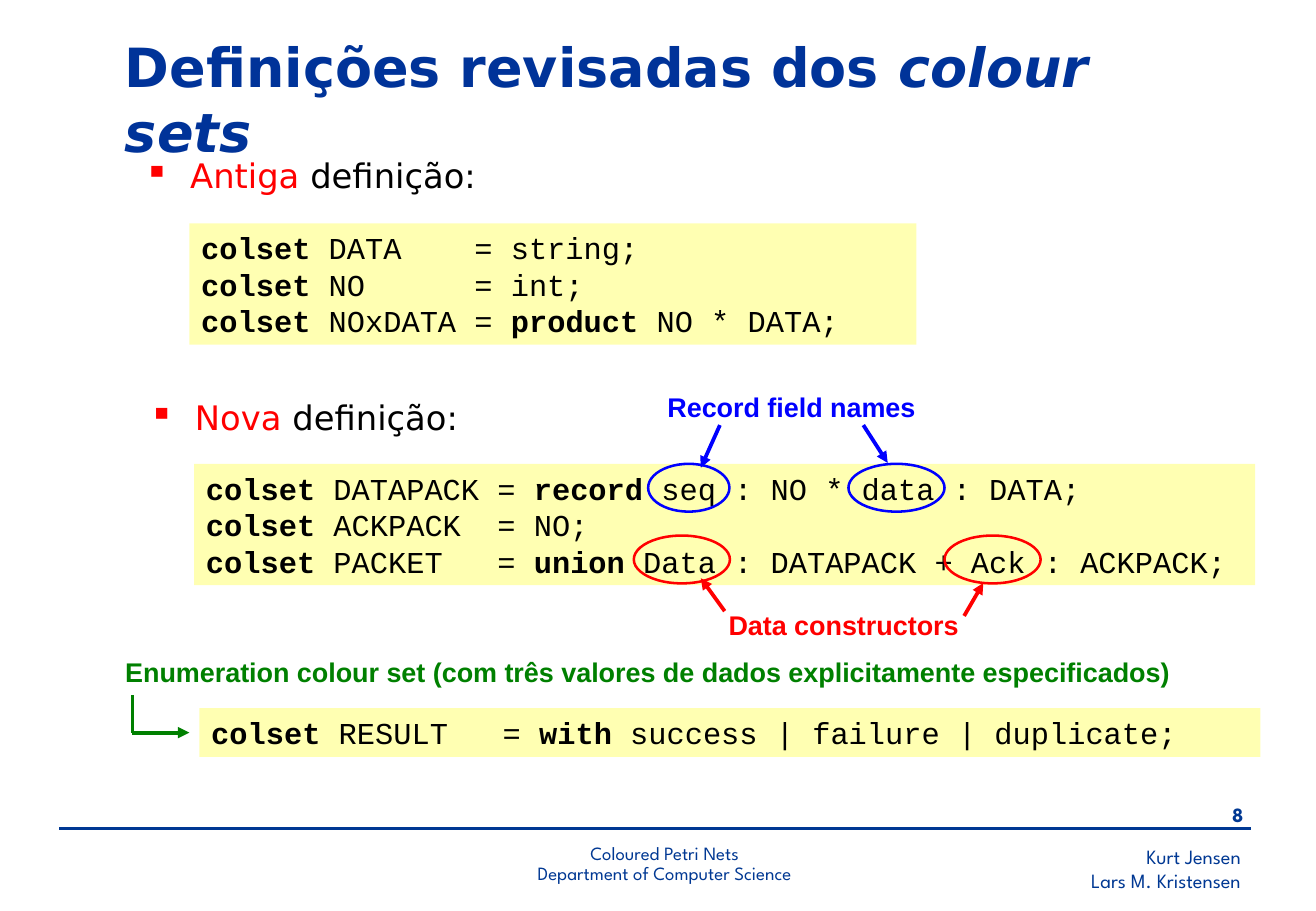
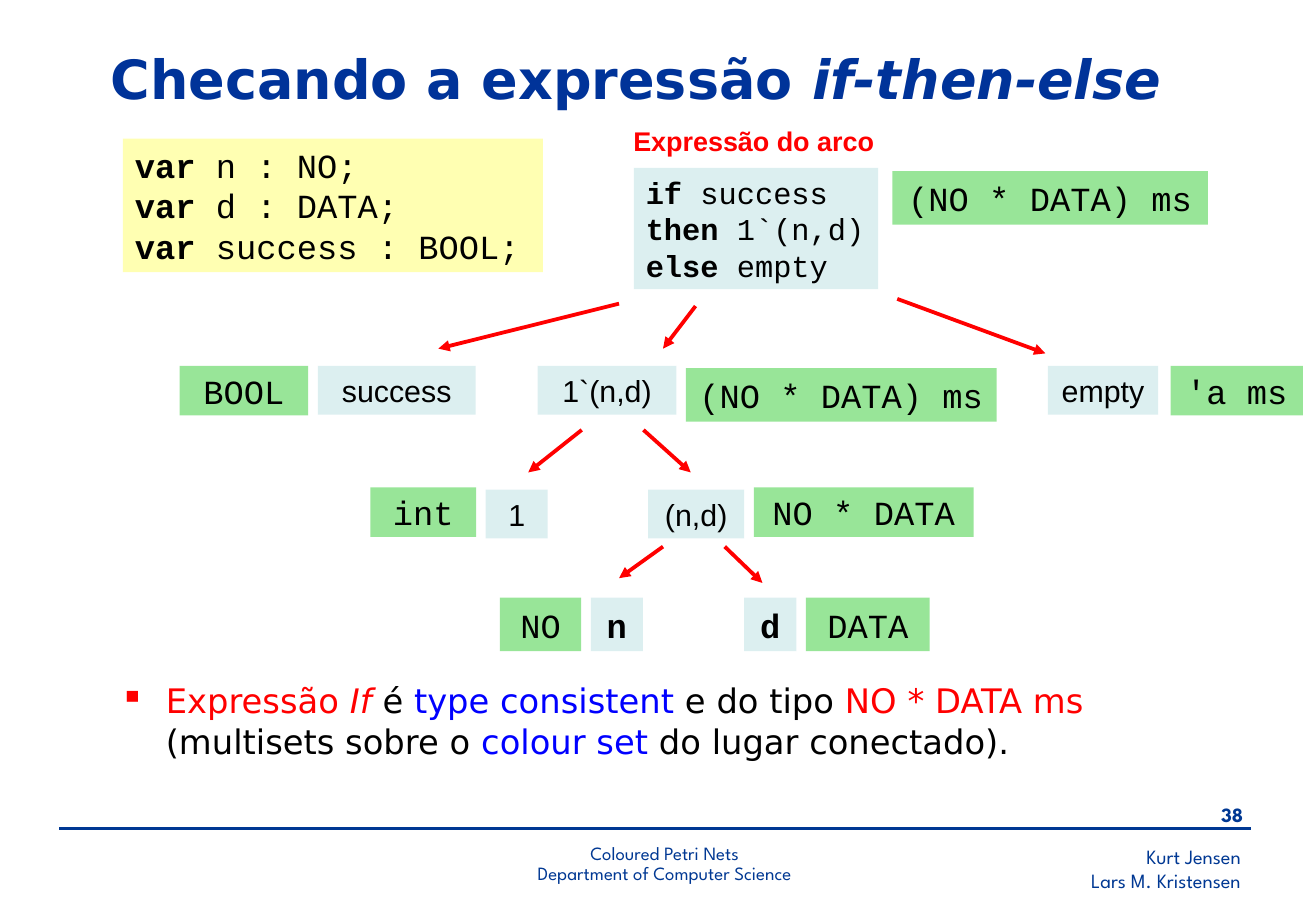
from lxml.etree import SubElement
from pptx import Presentation
from pptx.dml.color import RGBColor
from pptx.enum.shapes import MSO_CONNECTOR, MSO_SHAPE
from pptx.enum.text import MSO_ANCHOR, MSO_AUTO_SIZE, PP_ALIGN
from pptx.oxml.ns import qn
from pptx.util import Cm, Pt

COLORS = {
    "title": "003399", "footer": "003893", "black": "000000", "red": "FF0000",
    "blue": "0000FF", "green": "008000",
    "code": "FFFF66", "expr": "BBE0E3", "type": "33CC33",
}
HEAD, MONO, LABEL, FOOT = "DejaVu Sans", "Courier New", "Arial", "League Spartan"
LEFT, CENTER, RIGHT = PP_ALIGN.LEFT, PP_ALIGN.CENTER, PP_ALIGN.RIGHT

CELLS = {
    "expr": dict(fill="expr", h=1.02, font=LABEL, size=18),
    "type": dict(fill="type", h=1.04, font=MONO, size=20),
    "wide": dict(fill="type", h=1.12, font=MONO, size=20),
    "var": dict(fill="expr", h=1.12, font=MONO, size=20, bold=True),
}


def rgb(name):
    return RGBColor.from_string(COLORS[name])


def box(x, y, w, h):
    return Cm(x), Cm(y), Cm(w), Cm(h)


def add_run(p, text, font=HEAD, size=20, color="black", bold=False, italic=False):
    r = p.add_run()
    r.text = text
    r.font.name, r.font.size = font, Pt(size)
    r.font.bold, r.font.italic = bold, italic
    r.font.color.rgb = rgb(color)


def add_lines(tf, lines, align=LEFT, spacing=None, **fmt):
    tf.word_wrap = True
    for i, line in enumerate(lines):
        p = tf.paragraphs[0] if i == 0 else tf.add_paragraph()
        p.alignment = align
        if spacing:
            p.line_spacing = spacing
        add_run(p, line, **fmt)


def add_text(s, x, y, w, h, *lines, **fmt):
    tf = s.shapes.add_textbox(*box(x, y, w, h)).text_frame
    add_lines(tf, lines, **fmt)


def add_panel(s, x, y, w, h, fill):
    sp = s.shapes.add_shape(MSO_SHAPE.RECTANGLE, *box(x, y, w, h))
    sp.shadow.inherit = False
    sp.fill.solid()
    sp.fill.fore_color.rgb = rgb(fill)
    clr = sp._element.spPr.find(".//" + qn("a:srgbClr"))
    SubElement(clr, qn("a:alpha")).set("val", "50000")
    sp.line.fill.background()
    sp.text_frame.word_wrap = True
    return sp.text_frame


def add_code(s, x, y, w, h, *lines, fill="code", size=18):
    tf = add_panel(s, x, y, w, h, fill)
    for i, line in enumerate(lines):
        p = tf.paragraphs[0] if i == 0 else tf.add_paragraph()
        p.alignment = LEFT
        for j, part in enumerate(line.split("**")):
            if part:
                add_run(p, part, font=MONO, size=size, bold=j % 2 == 1)


def add_oval(s, x, y, w, h, color):
    sp = s.shapes.add_shape(MSO_SHAPE.OVAL, *box(x, y, w, h))
    sp.shadow.inherit = False
    sp.fill.background()
    sp.line.color.rgb = rgb(color)
    sp.line.width = Pt(1.5)


def add_line(s, x1, y1, x2, y2, color, width=2.25, arrow=True):
    c = s.shapes.add_connector(MSO_CONNECTOR.STRAIGHT, *box(x1, y1, x2, y2))
    c.line.color.rgb = rgb(color)
    c.line.width = Pt(width)
    spPr = c._element.spPr
    if arrow:
        SubElement(spPr.find(qn("a:ln")), qn("a:tailEnd")).set("type", "triangle")
    SubElement(spPr, qn("a:effectLst"))


def add_bullet(s, x, y, w, h, *rows):
    tf = s.shapes.add_textbox(*box(x, y, w, h)).text_frame
    tf.word_wrap = True
    p = tf.paragraphs[0]
    pPr = p._p.get_or_add_pPr()
    pPr.set("marL", str(Cm(0.96)))
    pPr.set("indent", str(-Cm(0.96)))
    clr = SubElement(pPr, qn("a:buClr"))
    SubElement(clr, qn("a:srgbClr")).set("val", COLORS["red"])
    SubElement(pPr, qn("a:buChar")).set("char", "▪")
    for i, row in enumerate(rows):
        if i:
            p.add_line_break()
        for text, color, *italic in row:
            add_run(p, text, color=color, italic=bool(italic))


def add_footer(s, number):
    fmt = dict(font=FOOT, color="footer")
    add_text(s, 17.65, 17.53, 8.56, 1.27, "Kurt Jensen", "Lars M. Kristensen",
             align=RIGHT, size=12, **fmt)
    add_text(s, 24.46, 16.66, 1.8, 0.84, str(number),
             align=RIGHT, size=12, bold=True, **fmt)
    add_line(s, 1.24, 17.32, 26.16, 17.32, "footer", width=1.5, arrow=False)
    add_text(s, 8.66, 17.53, 10.49, 1.19, "Coloured Petri Nets",
             "Department of Computer Science", align=CENTER, spacing=0.9,
             size=11.1, **fmt)


def new_slide(prs, number, x, y, w, plain, slanted):
    s = prs.slides.add_slide(prs.slide_layouts[5])
    title = s.shapes.title
    title.left, title.top, title.width, title.height = box(x, y, w, 1.75)
    tf = title.text_frame
    tf.auto_size = MSO_AUTO_SIZE.NONE
    tf.word_wrap = True
    tf.vertical_anchor = MSO_ANCHOR.MIDDLE
    p = tf.paragraphs[0]
    p.alignment = LEFT
    for text, italic in ((plain, False), (slanted, True)):
        add_run(p, text, size=32, color="title", bold=True, italic=italic)
    add_footer(s, number)
    return s


def old_definition(s, x, y):
    add_bullet(s, x, y, 9.91, 1.19, [("Antiga ", "red"), ("definição:", "black")])
    add_code(s, x + 1.19, y + 1.55, 15.21, 2.54,
             "**colset** DATA    = string;",
             "**colset** NO      = int;",
             "**colset** NOxDATA = **product** NO * DATA;")


def new_definition(s, x, y):
    add_bullet(s, x - 1.19, y - 1.52, 9.91, 1.19,
               [("Nova ", "red"), ("definição:", "black")])
    add_code(s, x, y, 22.2, 2.54,
             "**colset** DATAPACK = **record** seq : NO * data : DATA;",
             "**colset** ACKPACK  = NO;",
             "**colset** PACKET   = **union** Data : DATAPACK + Ack : ACKPACK;")
    for dx, dy, w, color in ((9.5, 0, 1.7, "blue"), (13.69, 0, 2.01, "blue"),
                             (9.2, 1.5, 2.01, "red"), (15.7, 1.5, 2.01, "red")):
        add_oval(s, x + dx, y + dy, w, 1, color)
    for dx, dy, text, color in ((9.3, -1.65, "Record field names", "blue"),
                                (10.39, 2.9, "Data constructors", "red")):
        add_text(s, x + dx, y + dy, 6.4, 0.94, text, align=CENTER,
                 font=LABEL, size=16, color=color, bold=True)
    for x1, y1, x2, y2, color in ((11, -0.81, 10.6, 0.08, "blue"),
                                  (14, -0.81, 14.51, -0.02, "blue"),
                                  (11.1, 3.08, 10.6, 2.39, "red"),
                                  (16.11, 3.18, 16.51, 2.49, "red")):
        add_line(s, x + x1, y + y1, x + x2, y + y2, color)


def enumeration(s, x, y):
    add_text(s, x - 1.42, y, 24.41, 0.94,
             "Enumeration colour set (com três valores de dados "
             "explicitamente especificados)",
             align=CENTER, font=LABEL, size=16, color="green", bold=True)
    corner = y + 1.73
    add_line(s, x, corner, x + 1.19, corner, "green")
    add_line(s, x, corner, x, y + 0.94, "green", arrow=False)
    add_code(s, x + 1.4, y + 1.22, 22.2, 1.02,
             "**colset** RESULT   = **with** success | failure | duplicate;")


def add_cell(s, x, y, w, text, fill, h, **fmt):
    add_lines(add_panel(s, x, y, w, h, fill), [text], align=CENTER, **fmt)


def typed_node(s, x, y, *cells, gap=0.2):
    for text, kind, w, dy in cells:
        add_cell(s, x, y + dy, w, text, **CELLS[kind])
        x += w + gap


def expression_tree(s, x, y):
    add_text(s, x + 9.24, y, 5.89, 0.94, "Expressão do arco",
             font=LABEL, size=16, color="red", bold=True)
    add_code(s, x + 9.5, y + 1.02, 5.11, 2.54, "**if** success",
             "**then** 1`(n,d)", "**else** empty", fill="expr")
    typed_node(s, x + 14.91, y + 1.09, ("(NO * DATA) ms", "wide", 6.6, 0))

    top, middle, bottom = y + 5.16, y + 7.7, y + 10.01
    typed_node(s, x, top, ("BOOL", "type", 2.69, 0), ("success", "expr", 3.3, 0))
    typed_node(s, x + 7.49, top, ("1`(n,d)", "expr", 2.9, 0),
               ("(NO * DATA) ms", "wide", 6.5, 0.05))
    typed_node(s, x + 18.16, top, ("empty", "expr", 2.31, 0),
               ("'a ms", "type", 2.77, 0), gap=0.26)
    typed_node(s, x + 3.99, middle, ("int", "type", 2.21, 0), ("1", "expr", 1.3, 0.05))
    typed_node(s, x + 9.8, middle, ("(n,d)", "expr", 2.01, 0.05),
               ("NO * DATA", "type", 4.6, 0))
    typed_node(s, x + 6.7, bottom, ("NO", "wide", 1.7, 0), ("n", "var", 1.09, 0))
    typed_node(s, x + 11.81, bottom, ("d", "var", 1.09, 0), ("DATA", "wide", 2.59, 0))

    for x1, y1, x2, y2 in ((9.19, 3.86, 5.41, 4.8), (10.79, 3.91, 10.11, 4.8),
                           (15.01, 3.76, 18.11, 4.9), (8.41, 6.5, 7.29, 7.39),
                           (9.7, 6.5, 10.69, 7.39), (10.11, 8.94, 9.19, 9.6),
                           (11.4, 8.94, 12.19, 9.7)):
        add_line(s, x + x1, y + y1, x + x2, y + y2, "red")


def colour_sets_slide(prs):
    s = new_slide(prs, 8, 2.36, 1.19, 23.7,
                  "Definições revisadas dos ", "colour sets")
    old_definition(s, 2.77, 3.12)
    new_definition(s, 4.06, 9.7)
    enumeration(s, 2.77, 13.59)


def type_check_slide(prs):
    s = new_slide(prs, 38, 2.06, 0.76, 24.41,
                  "Checando a expressão ", "if-then-else")
    add_code(s, 2.57, 2.9, 8.79, 2.79, "**var** n : NO;", "**var** d : DATA;",
             "**var** success : BOOL;", size=20)
    expression_tree(s, 3.76, 2.49)
    add_bullet(s, 2.26, 14.1, 23.6, 2.31,
               [("Expressão ", "red"), ("If ", "red", True), ("é ", "black"),
                ("type consistent", "blue"), (" e do tipo ", "black"),
                ("NO * DATA ms", "red")],
               [("(multisets sobre o ", "black"), ("colour set", "blue"),
                (" do lugar conectado).", "black")])


def main():
    prs = Presentation()
    prs.slide_width, prs.slide_height = Cm(27.53), Cm(19.05)
    colour_sets_slide(prs)
    type_check_slide(prs)
    prs.save("out.pptx")


if __name__ == "__main__":
    main()
